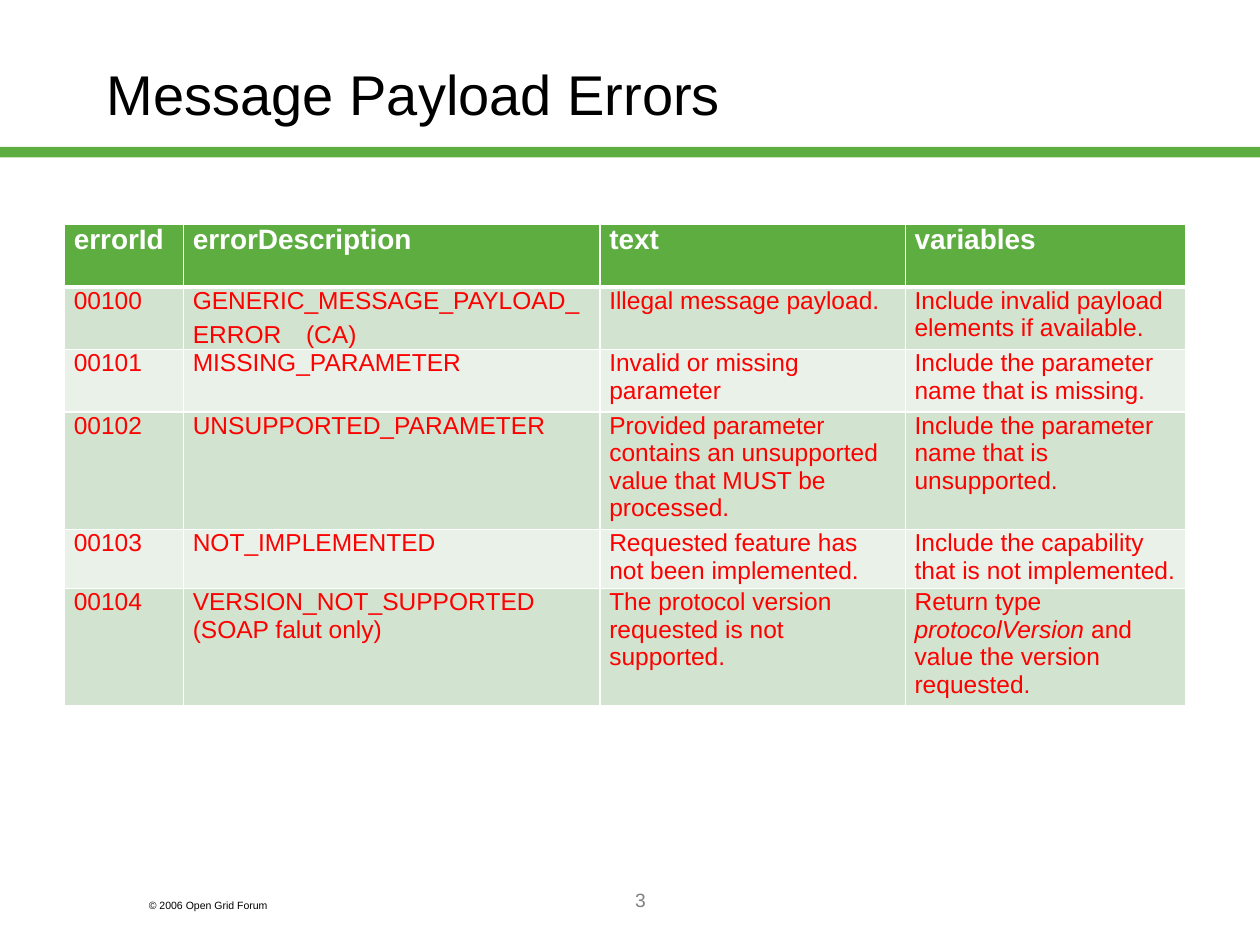
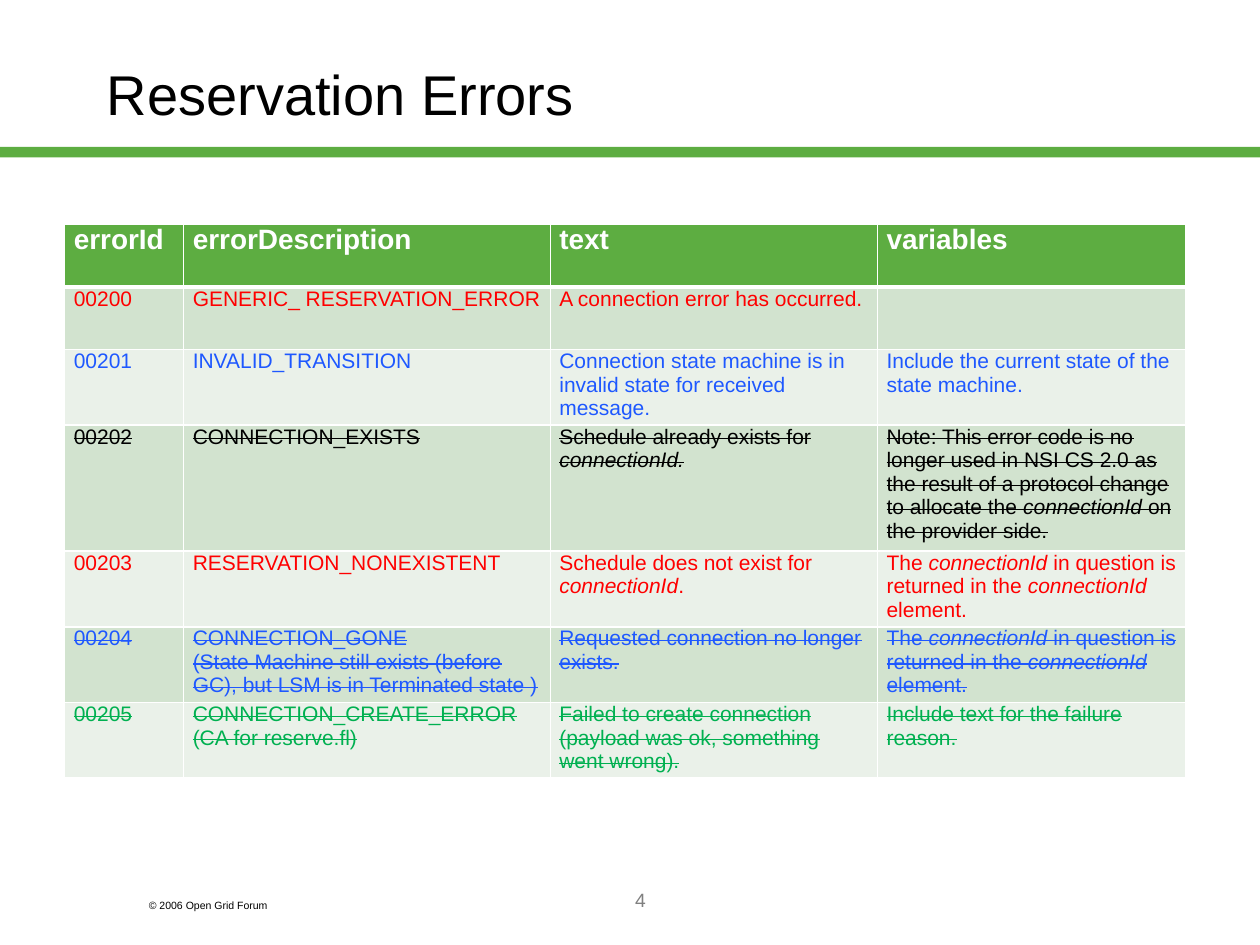
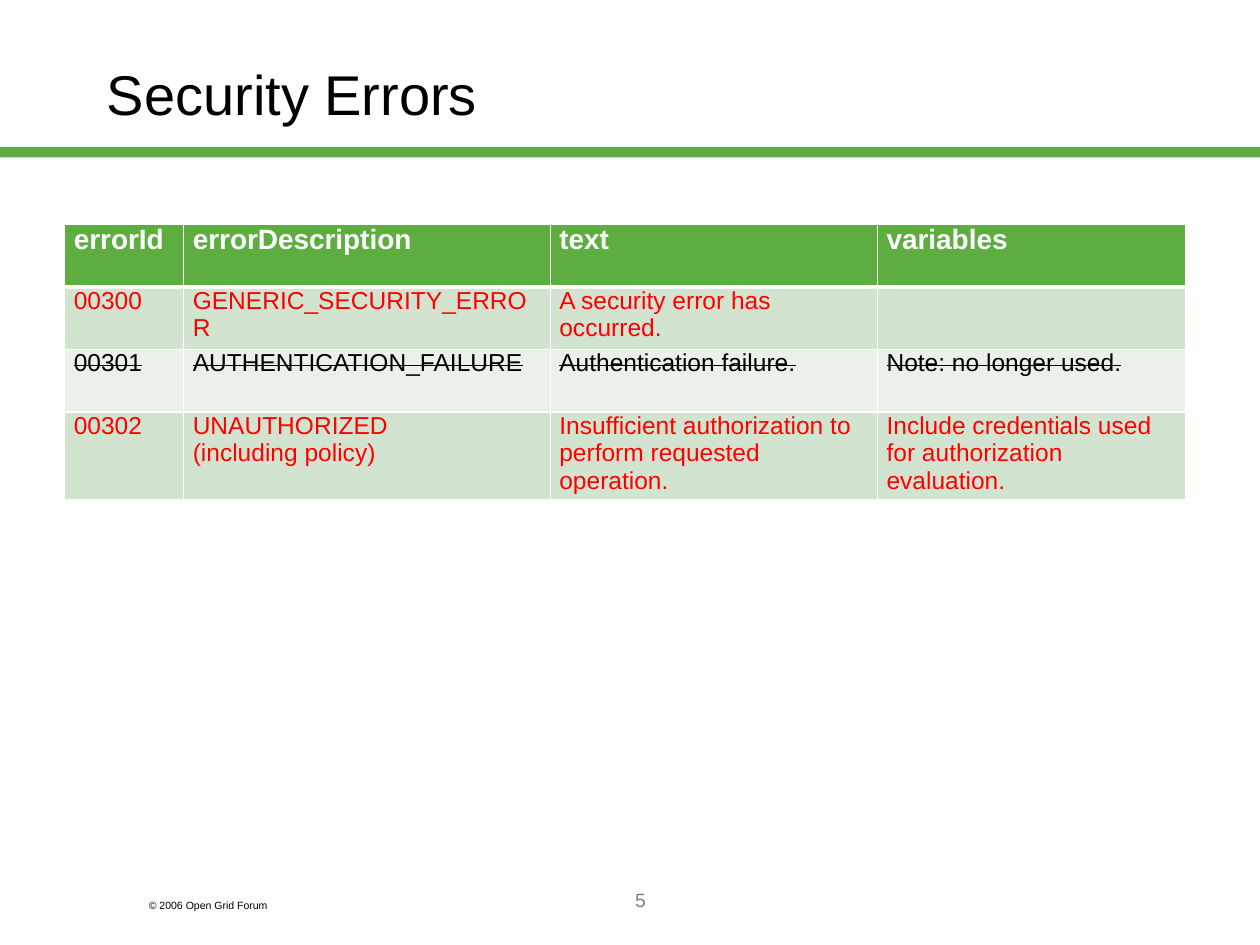
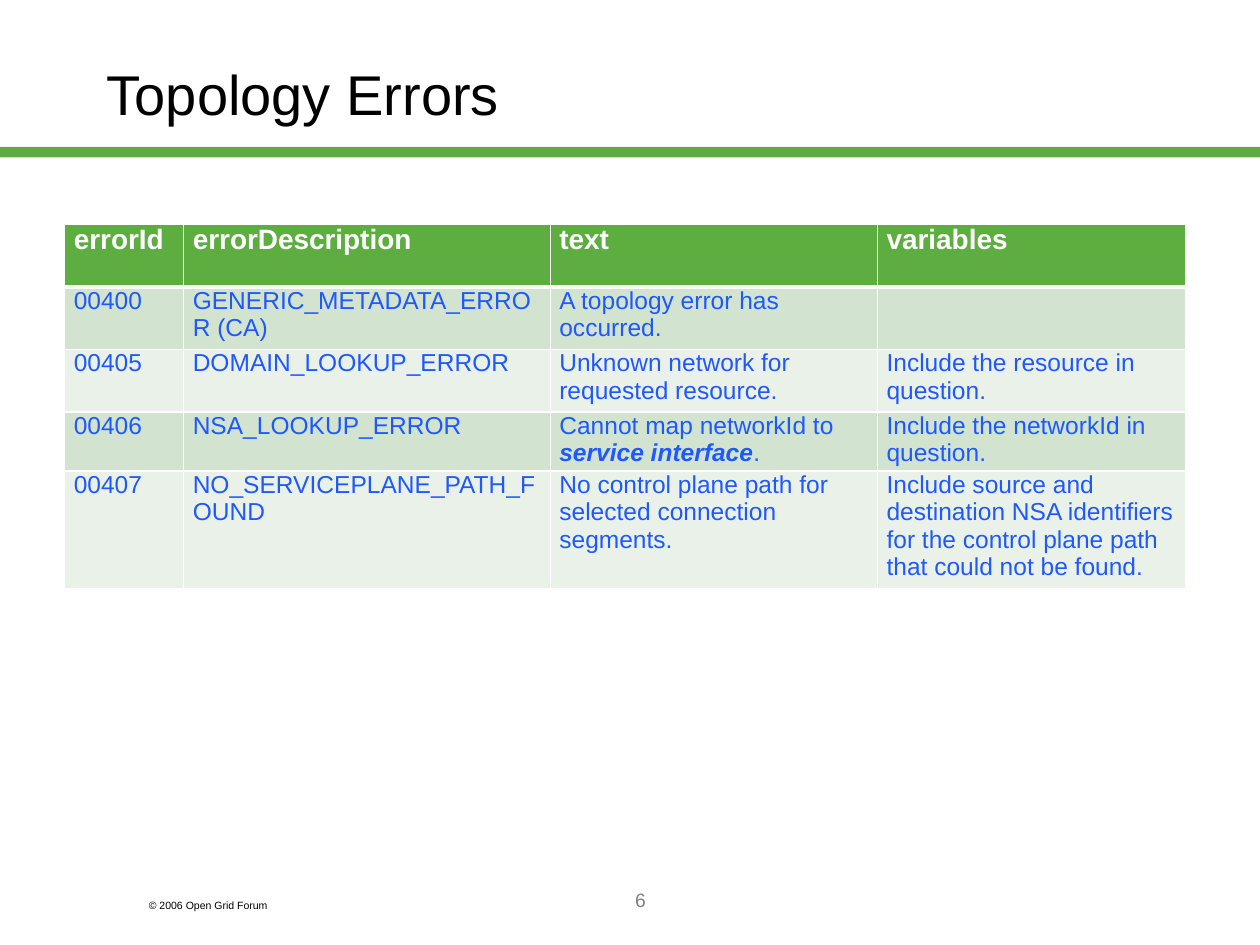
import pptx
import pptx.util
import pptx.dml.color
import pptx.enum.shapes
import pptx.enum.text
import pptx.oxml
import pptx.oxml.ns
from dataclasses import dataclass

Pt = pptx.util.Pt
ALIGN = pptx.enum.text.PP_ALIGN
ANCHOR = pptx.enum.text.MSO_ANCHOR


@dataclass(frozen=True)
class Theme:
    font: str = "Arial"
    green: str = "5DAD41"
    bands: tuple = ("D2E3CF", "EAF1E9")
    white: str = "FFFFFF"
    black: str = "000000"
    grey: str = "808080"
    red: str = "FF0000"
    blue: str = "1E58FF"
    leaf: str = "00B050"
    title_size: int = 32
    header_size: int = 16
    number_size: int = 11
    copyright_size: int = 6


THEME = Theme()
RED, BLUE, BLACK, LEAF = THEME.red, THEME.blue, THEME.black, THEME.leaf

# Content: *italic*, ^bold^; each row is colour, struck out, cells
COPYRIGHT = "© 2006 Open Grid Forum"
FIRST_NUMBER = 3
HEADINGS = ("errorId", "errorDescription", "text", "variables")
EVEN_COLUMNS = (68, 209.5, 187, 176)
RETURNED_ID = "The *connectionId* in question is returned in the *connectionId* element."

ERROR_PAGES = [
    dict(title="Message Payload Errors", columns=(68, 238, 174.5, 160), size=14, height=275, rows=[
        (RED, False, ("00100", "GENERIC_MESSAGE_PAYLOAD_ERROR　(CA)", "Illegal message payload.",
                      "Include invalid payload elements if available.")),
        (RED, False, ("00101", "MISSING_PARAMETER", "Invalid or missing parameter",
                      "Include the parameter name that is missing.")),
        (RED, False, ("00102", "UNSUPPORTED_PARAMETER",
                      "Provided parameter contains an unsupported value that MUST be processed.",
                      "Include the parameter name that is unsupported.")),
        (RED, False, ("00103", "NOT_IMPLEMENTED", "Requested feature has not been implemented.",
                      "Include the capability that is not implemented.")),
        (RED, False, ("00104", "VERSION_NOT_SUPPORTED\n(SOAP falut only)",
                      "The protocol version requested is not supported.",
                      "Return type *protocolVersion* and value the version requested.")),
    ]),
    dict(title="Reservation Errors", columns=EVEN_COLUMNS, size=12, height=316, rows=[
        (RED, False, ("00200", "GENERIC_ RESERVATION_ERROR", "A connection error has occurred.", "")),
        (BLUE, False, ("00201", "INVALID_TRANSITION",
                       "Connection state machine is in invalid state for received message.",
                       "Include the current state of the state machine.")),
        (BLACK, True, ("00202", "CONNECTION_EXISTS", "Schedule already exists for *connectionId.*",
                       "Note: This error code is no longer used in NSI CS 2.0 as the result of a "
                       "protocol change to allocate the *connectionId* on the provider side.")),
        (RED, False, ("00203", "RESERVATION_NONEXISTENT",
                      "Schedule does not exist for *connectionId*.", RETURNED_ID)),
        (BLUE, True, ("00204", "CONNECTION_GONE\n(State Machine still exists (before GC), "
                      "but LSM is in Terminated state )",
                      "Requested connection no longer exists.", RETURNED_ID)),
        (LEAF, True, ("00205", "CONNECTION_CREATE_ERROR\n(CA for reserve.fl)",
                      "Failed to create connection (payload was ok, something went wrong).",
                      "Include text for the failure reason.")),
    ]),
    dict(title="Security Errors", columns=EVEN_COLUMNS, size=14, height=157.5, rows=[
        (RED, False, ("00300", "GENERIC_SECURITY_ERROR", "A security error has occurred.", "")),
        (BLACK, True, ("00301", "AUTHENTICATION_FAILURE", "Authentication failure.",
                       "Note: no longer used.")),
        (RED, False, ("00302", "UNAUTHORIZED\n(including policy)",
                      "Insufficient authorization to perform requested operation.",
                      "Include credentials used for authorization evaluation.")),
    ]),
    dict(title="Topology Errors", columns=EVEN_COLUMNS, size=14, height=208, rows=[
        (BLUE, False, ("00400", "GENERIC_METADATA_ERROR (CA)", "A topology error has occurred.", "")),
        (BLUE, False, ("00405", "DOMAIN_LOOKUP_ERROR", "Unknown network for requested resource.",
                       "Include the resource in question.")),
        (BLUE, False, ("00406", "NSA_LOOKUP_ERROR",
                       "Cannot map networkId to ^*service interface*^.",
                       "Include the networkId in question.")),
        (BLUE, False, ("00407", "NO_SERVICEPLANE_PATH_FOUND",
                       "No control plane path for selected connection segments.",
                       "Include source and destination NSA identifiers for the control plane path "
                       "that could not be found.")),
    ]),
]

# Layout, in points
TABLE_LEFT, TABLE_TOP = 37, 128.3
ROW_HEIGHT, SHORT_ROW_HEIGHT = 35.7, 28.8
SHORT_ROWS = {"00103", "00204", "00406"}
CELL_INSET = 5.2


def rgb(colour):
    return pptx.dml.color.RGBColor.from_string(colour)


def write(frame, text, size, colour, bold=False, strike=False, align=None, spacing=None, hanging=0):
    """Fill a text frame: newline starts a paragraph, *italic*, ^bold^."""
    for index, line in enumerate(text.split("\n")):
        paragraph = frame.add_paragraph() if index else frame.paragraphs[0]
        paragraph.alignment = align
        paragraph.line_spacing = spacing
        if hanging:
            properties = paragraph._p.get_or_add_pPr()
            properties.set("marL", str(Pt(hanging)))
            properties.set("indent", str(-Pt(hanging)))
        if not line:
            paragraph.font.size = Pt(size)
        for bold_index, chunk in enumerate(line.split("^")):
            for italic_index, piece in enumerate(chunk.split("*")):
                if not piece:
                    continue
                run = paragraph.add_run()
                run.text = piece
                run.font.name = THEME.font
                run.font.size = Pt(size)
                run.font.color.rgb = rgb(colour)
                run.font.bold = bold or bold_index % 2 == 1
                run.font.italic = italic_index % 2 == 1
                if strike:
                    run._r.get_or_add_rPr().set("strike", "sngStrike")


def add_text(slide, box, text, anchor=ANCHOR.TOP, **style):
    frame = slide.shapes.add_textbox(*map(Pt, box)).text_frame
    frame.word_wrap = True
    frame.vertical_anchor = anchor
    write(frame, text, **style)


def set_borders(cell, **widths):
    properties = cell._tc.get_or_add_tcPr()
    for side in "LRTB":
        properties.append(pptx.oxml.parse_xml(
            f'<a:ln{side} {pptx.oxml.ns.nsdecls("a")} w="{Pt(widths.get(side, 1))}">'
            f'<a:solidFill><a:srgbClr val="{THEME.white}"/></a:solidFill></a:ln{side}>'))


def add_frame(slide, title, number):
    """Band, copyright, slide number and title shared by all slides."""
    band = slide.shapes.add_shape(pptx.enum.shapes.MSO_SHAPE.RECTANGLE,
                                  *map(Pt, (0, 84, 720, 6)))
    band.shadow.inherit = False
    band.fill.solid()
    band.fill.fore_color.rgb = rgb(THEME.green)
    band.line.fill.background()
    add_text(slide, (78, 510, 108, 14.4), COPYRIGHT,
             size=THEME.copyright_size, colour=THEME.black)
    add_text(slide, (156, 504, 420, 36), str(number), size=THEME.number_size,
             colour=THEME.grey, align=ALIGN.CENTER)
    add_text(slide, (54, 12, 612, 90), title, anchor=ANCHOR.MIDDLE, size=THEME.title_size,
             colour=THEME.black, spacing=0.8, hanging=30)


def add_error_table(slide, columns, size, height, rows):
    holder = slide.shapes.add_table(len(rows) + 1, len(columns), Pt(TABLE_LEFT), Pt(TABLE_TOP),
                                    Pt(sum(columns)), Pt(height))
    table = holder.table
    table.horz_banding = False
    for column, width in zip(table.columns, columns):
        column.width = Pt(width)

    lines = [(THEME.white, False, HEADINGS)] + rows
    for index, (colour, strike, texts) in enumerate(lines):
        heading = index == 0
        table.rows[index].height = Pt(SHORT_ROW_HEIGHT if texts[0] in SHORT_ROWS else ROW_HEIGHT)
        for column_index, text in enumerate(texts):
            cell = table.cell(index, column_index)
            cell.margin_left = cell.margin_right = Pt(CELL_INSET)
            cell.margin_top = cell.margin_bottom = 0
            set_borders(cell, B=3 if heading else 1, T=3 if index == 1 else 1)
            cell.fill.solid()
            cell.fill.fore_color.rgb = rgb(THEME.green if heading else THEME.bands[(index - 1) % 2])
            write(cell.text_frame, text, size=THEME.header_size if heading else size,
                  colour=colour, bold=heading, strike=strike)
    holder.height = Pt(height)


def main():
    deck = pptx.Presentation()
    deck.slide_width, deck.slide_height = Pt(720), Pt(540)
    for number, page in enumerate(ERROR_PAGES, FIRST_NUMBER):
        slide = deck.slides.add_slide(deck.slide_layouts[6])
        add_frame(slide, page["title"], number)
        add_error_table(slide, page["columns"], page["size"], page["height"], page["rows"])
    deck.save("out.pptx")


if __name__ == "__main__":
    main()
